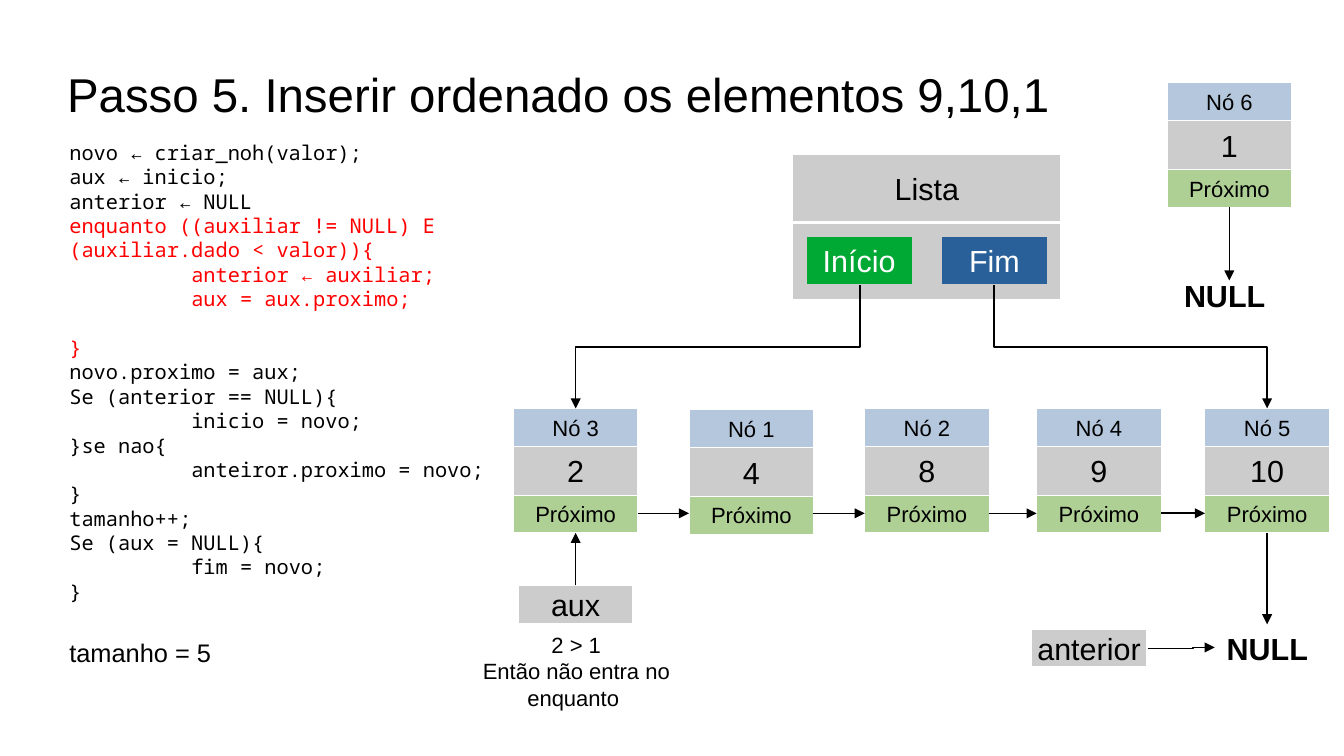
from dataclasses import dataclass

from lxml import etree
from pptx import Presentation
from pptx.dml.color import RGBColor
from pptx.enum.shapes import MSO_CONNECTOR as Conn, MSO_SHAPE as Shape
from pptx.enum.text import MSO_ANCHOR as Anchor, MSO_AUTO_SIZE as AutoSize, PP_ALIGN as Align
from pptx.oxml.ns import qn
from pptx.util import Inches, Pt

BLACK, WHITE, RED, GREY = "000000", "FFFFFF", "FF0000", "CCCCCC"
BLUE, GREEN = "B4C7DC", "AFD095"
NODE_W, NODE_H, BAND_H = 1.02, 1.02, 0.31
ROW_Y, LINK_Y = 3.35, 4.21


@dataclass
class Node:
    name: str
    value: str
    x: float
    y: float = ROW_Y
    link_width: float = 0  # arrow to the next node

    @property
    def mid(self) -> float:
        return self.x + NODE_W / 2


@dataclass
class Line:
    text: str
    color: str = BLACK
    before: float = 0


CHAIN = [
    Node("Nó 3", "2", 4.21),
    Node("Nó 1", "4", 5.65, 3.36),
    Node("Nó 2", "8", 7.09),
    Node("Nó 4", "9", 8.5, link_width=1),
    Node("Nó 5", "10", 9.88),
]
NEW_NODE = Node("Nó 6", "1", 9.57, 0.68)

CODE = [
    Line("novo ← criar_noh(valor);"),
    Line("aux ← inicio;"),
    Line("anterior ← NULL"),
    Line("enquanto ((auxiliar != NULL) E (auxiliar.dado < valor)){", RED),
    Line("\tanterior ← auxiliar;", RED),
    Line("\taux = aux.proximo;", RED),
    Line("}", RED, before=14.4),
    Line("novo.proximo = aux;"),
    Line("Se (anterior == NULL){"),
    Line("\tinicio = novo;"),
    Line("}se nao{"),
    Line("\tanteiror.proximo = novo;"),
    Line("}"),
    Line("tamanho++;"),
    Line("Se (aux = NULL){"),
    Line("\tfim = novo;"),
    Line("}"),
]


def rgb(color: str) -> RGBColor:
    return RGBColor.from_string(color)


def write(p, text: str, *, size: float = 18, color: str = BLACK, bold: bool = False,
          font: str = "Arial", align=Align.LEFT, before: float = 0) -> None:
    p.alignment = align
    p.space_before = Pt(before)
    p._p.get_or_add_pPr().set("defTabSz", str(Inches(1)))
    r = p.add_run()
    r.text = text
    r.font.name, r.font.size, r.font.bold = font, Pt(size), bold
    r.font.color.rgb = rgb(color)


def set_line(sp, color: str, width: float) -> None:
    sp.line.color.rgb = rgb(color)
    # A zero width must be written out, or the theme's width applies
    sp._element.spPr.find(qn("a:ln")).set("w", str(Pt(width)))


def box(s, x: float, y: float, w: float, h: float, fill: str, text: str = "", *,
        line: str = WHITE, **fmt) -> None:
    sp = s.shapes.add_shape(Shape.RECTANGLE, Inches(x), Inches(y), Inches(w), Inches(h))
    sp.shadow.inherit = False
    sp.fill.solid()
    sp.fill.fore_color.rgb = rgb(fill)
    set_line(sp, line, 0)
    if text:
        tf = sp.text_frame
        tf.word_wrap = False
        tf.vertical_anchor = Anchor.MIDDLE
        write(tf.paragraphs[0], text, align=Align.CENTER, **fmt)


def text_box(s, x: float, y: float, w: float, h: float, lines: list[Line], *,
             wrap: bool = False, **fmt) -> None:
    tf = s.shapes.add_textbox(Inches(x), Inches(y), Inches(w), Inches(h)).text_frame
    tf.word_wrap = wrap
    tf.auto_size = AutoSize.SHAPE_TO_FIT_TEXT
    for i, line in enumerate(lines):
        p = tf.add_paragraph() if i else tf.paragraphs[0]
        write(p, line.text, color=line.color, before=line.before, **fmt)


def arrow(s, x1: float, y1: float, x2: float, y2: float, *, width: float = 1,
          kind=Conn.STRAIGHT, bend: float = 0.5):
    cx = s.shapes.add_connector(kind, Inches(x1), Inches(y1), Inches(x2), Inches(y2))
    set_line(cx, BLACK, width)
    sp_pr = cx._element.spPr
    etree.SubElement(sp_pr.find(qn("a:ln")), qn("a:tailEnd"), type="triangle")
    etree.SubElement(sp_pr, qn("a:effectLst"))
    if kind == Conn.ELBOW:
        guides = sp_pr.find(qn("a:prstGeom")).find(qn("a:avLst"))
        etree.SubElement(guides, qn("a:gd"), name="adj1", fmla=f"val {round(bend * 100000)}")
    return cx


def drop_arrow(s, x1: float, y1: float, x2: float, y2: float) -> None:
    """Elbow arrow that leaves and arrives vertically."""
    w, h = y2 - y1, abs(x2 - x1)
    left, top = (x1 + x2 - w) / 2, (y1 + y2 - h) / 2
    cx = arrow(s, left, top, left + w, top + h, kind=Conn.ELBOW)
    xfrm = cx._element.spPr.find(qn("a:xfrm"))
    to_right = x2 > x1
    xfrm.set("rot", str((270 if to_right else 90) * 60000))
    if to_right:
        xfrm.set("flipH", "1")


def draw_node(s, n: Node) -> None:
    box(s, n.x, n.y, NODE_W, NODE_H, GREY, n.value)
    box(s, n.x, n.y, NODE_W, BAND_H, BLUE, n.name, size=13)
    box(s, n.x, n.y + NODE_H - BAND_H, NODE_W, BAND_H, GREEN, "Próximo", size=13)


def main() -> None:
    prs = Presentation()
    prs.slide_width, prs.slide_height = Inches(11.02), Inches(6.2)
    s = prs.slides.add_slide(prs.slide_layouts[5])

    # Title
    title = s.shapes.title
    title.left, title.top = Inches(0.55), Inches(0.25)
    title.width, title.height = Inches(9.92), Inches(1.04)
    tf = title.text_frame
    tf.margin_left = tf.margin_right = tf.margin_top = tf.margin_bottom = 0
    tf.vertical_anchor = Anchor.MIDDLE
    tf.auto_size = AutoSize.NONE
    write(tf.paragraphs[0], "Passo 5. Inserir ordenado os elementos 9,10,1", size=28)

    # Code and size
    text_box(s, 0.47, 1.1, 3.62, 4.1, CODE, wrap=True, size=12, font="Noto Sans Mono")
    text_box(s, 0.47, 5.18, 1.37, 0.33, [Line("tamanho = 5")], size=15)

    # List header with its two pointers
    box(s, 6.5, 1.27, 2.2, 0.55, GREY, "Lista")
    box(s, 6.5, 1.83, 2.2, 0.63, GREY)
    for x, label, fill in ((6.61, "Início", "00A933"), (7.72, "Fim", "2A6099")):
        box(s, x, 1.94, 0.87, 0.39, fill, label, line=GREY, color=WHITE)

    # Nodes and links
    for n in (*CHAIN, NEW_NODE):
        draw_node(s, n)
    for n, following in zip(CHAIN, CHAIN[1:]):
        arrow(s, n.x + NODE_W, LINK_Y, following.x, LINK_Y, width=n.link_width)
    first, last = CHAIN[0], CHAIN[-1]
    drop_arrow(s, 7.05, 2.34, first.mid, ROW_Y)
    drop_arrow(s, 8.15, 2.34, last.mid, ROW_Y)

    # Ends of the lists
    arrow(s, last.mid, ROW_Y + NODE_H, last.mid, 5.12)
    arrow(s, NEW_NODE.mid, NEW_NODE.y + NODE_H, NEW_NODE.mid, 2.3, width=0)
    for x, y in ((9.96, 5.12), (9.61, 2.22)):
        text_box(s, x, y, 0.88, 0.38, [Line("NULL")], bold=True)

    # Auxiliary pointers
    box(s, 4.25, 4.8, 0.94, BAND_H, GREY, "aux")
    arrow(s, first.mid, 4.8, first.mid, ROW_Y + NODE_H)
    box(s, 8.46, 5.16, 0.94, BAND_H, GREY, "anterior")
    arrow(s, 9.41, 5.32, 9.96, 5.31, kind=Conn.ELBOW, bend=0.68)
    note = [Line(t) for t in ("2 > 1", "Então não entra no", "enquanto ")]
    text_box(s, 3.86, 5.13, 1.73, 0.7, note, size=13, align=Align.CENTER)

    prs.save("out.pptx")


if __name__ == "__main__":
    main()
